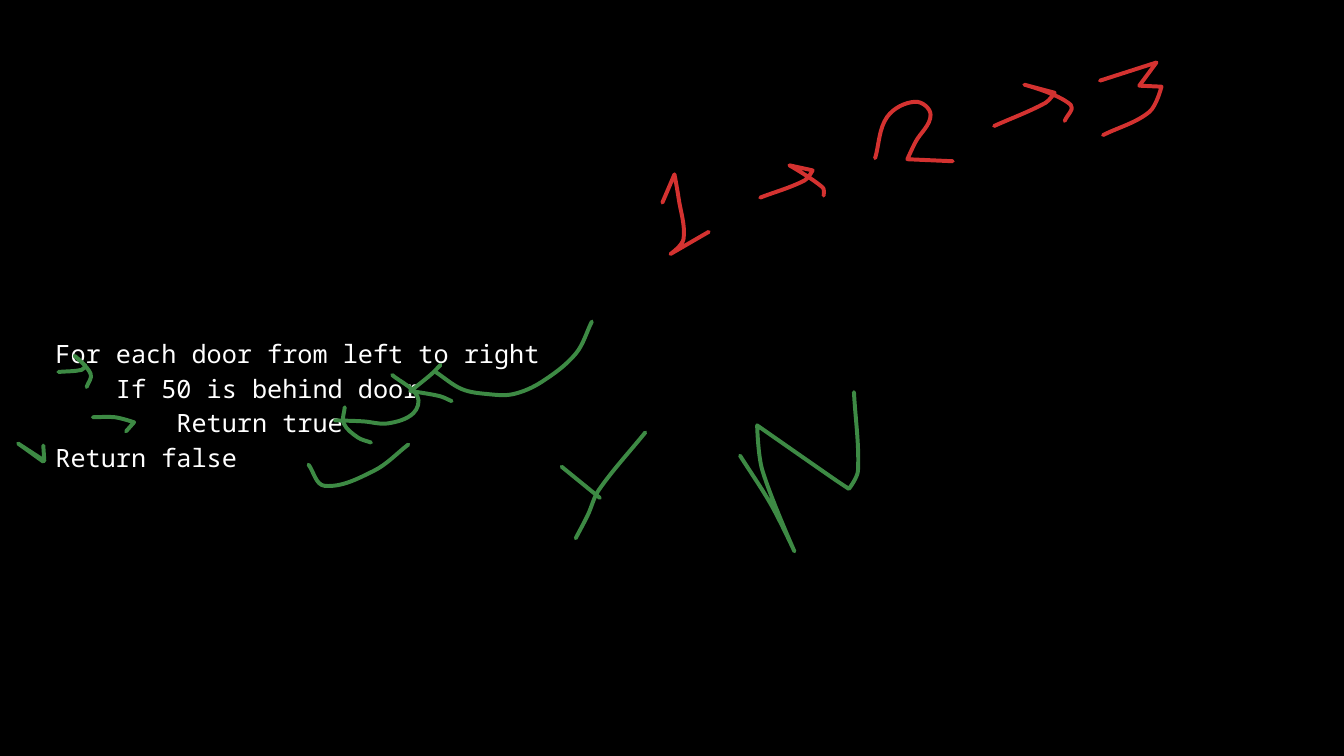
import math
from dataclasses import dataclass

import pptx
import pptx.dml.color
import pptx.enum.text
import pptx.oxml.ns
import pptx.slide
import pptx.util
from pptx.util import Inches

BLACK = pptx.dml.color.RGBColor(0x00, 0x00, 0x00)
WHITE = pptx.dml.color.RGBColor(0xFF, 0xFF, 0xFF)
GREEN = pptx.dml.color.RGBColor(0x3D, 0x8A, 0x44)
RED = pptx.dml.color.RGBColor(0xD4, 0x32, 0x30)

Point = tuple[float, float]


@dataclass(frozen=True)
class Stroke:
    """A pen stroke, drawn smoothly through its points (in inches)."""
    color: pptx.dml.color.RGBColor
    points: tuple[Point, ...]


PSEUDOCODE = (
    "For each door from left to right",
    "    If 50 is behind door",
    "        Return true",
    "Return false",
)

STROKES = (
    # Letter Y: stem and arm
    Stroke(GREEN, ((6.4, 4.29), (5.94, 4.86), (5.83, 5.11), (5.71, 5.34))),
    Stroke(GREEN, ((5.57, 4.63), (5.95, 4.94))),
    # Check mark after the last line
    Stroke(GREEN, ((3.06, 4.61), (3.22, 4.82), (3.71, 4.67), (4.05, 4.41))),
    # Letter N
    Stroke(GREEN, ((7.34, 4.52), (7.65, 5.01), (7.88, 5.47), (7.56, 4.66),
                   (7.51, 4.22), (8.27, 4.75), (8.42, 4.85), (8.51, 4.67),
                   (8.47, 3.89))),
    # Indent arrows before "If" and "Return true"
    Stroke(GREEN, ((0.58, 3.69), (0.81, 3.67), (0.85, 3.63), (0.74, 3.53),
                   (0.9, 3.71), (0.86, 3.84))),
    Stroke(GREEN, ((0.92, 4.14), (1.14, 4.14), (1.33, 4.19), (1.25, 4.28))),
    # Arrow to "If": shaft and head
    Stroke(GREEN, ((5.87, 3.19), (5.71, 3.51), (5.37, 3.79), (5.09, 3.91),
                   (4.84, 3.91), (4.58, 3.86), (4.32, 3.69))),
    Stroke(GREEN, ((4.37, 3.62), (4.27, 3.72), (4.07, 3.88), (4.36, 3.93),
                   (4.48, 3.98))),
    # Arrow to "Return true": shaft and head
    Stroke(GREEN, ((3.89, 3.72), (4.14, 3.93), (4.1, 4.1), (3.85, 4.2),
                   (3.6, 4.18), (3.32, 4.17))),
    Stroke(GREEN, ((3.42, 4.04), (3.41, 4.2), (3.55, 4.34), (3.68, 4.39))),
    # Arrow to "Return false"
    Stroke(GREEN, ((0.43, 4.58), (0.18, 4.4), (0.44, 4.57), (0.43, 4.42))),
    # Digit 1 and its arrow
    Stroke(RED, ((6.57, 2.01), (6.69, 1.73), (6.73, 1.96), (6.78, 2.37),
                 (6.65, 2.52), (7.03, 2.3))),
    Stroke(RED, ((7.54, 1.96), (7.98, 1.79), (8.06, 1.69), (7.83, 1.64),
                 (8.16, 1.86), (8.17, 1.94))),
    # Digit 2 and its arrow
    Stroke(RED, ((8.68, 1.57), (8.8, 1.16), (9.08, 1.01), (9.23, 1.14),
                 (9.08, 1.41), (9, 1.58), (9.45, 1.6))),
    Stroke(RED, ((9.86, 1.25), (10.37, 1.02), (10.46, 0.92), (10.16, 0.84),
                 (10.62, 1.04), (10.56, 1.2))),
    # Digit 3
    Stroke(RED, ((10.91, 0.8), (11.47, 0.62), (11.3, 0.85), (11.52, 0.86),
                 (11.4, 1.11), (10.94, 1.34))),
)


def direction(before: Point, here: Point, after: Point) -> Point:
    """Unit tangent of a stroke at a point, or zero at a sharp turn."""
    turn = ((here[0] - before[0]) * (after[0] - here[0])
            + (here[1] - before[1]) * (after[1] - here[1]))
    dx, dy = after[0] - before[0], after[1] - before[1]
    length = math.hypot(dx, dy)
    return (0.0, 0.0) if turn < 0 or length == 0 else (dx / length, dy / length)


def bezier_points(points: tuple[Point, ...]) -> list[Point]:
    """Two control points and an end point for each step of a stroke."""
    padded = (points[0], *points, points[-1])
    tangents = [direction(*padded[i:i + 3]) for i in range(len(points))]
    result: list[Point] = []
    for i, (start, end) in enumerate(zip(points, points[1:])):
        reach = math.dist(start, end) / 3
        (ux, uy), (vx, vy) = tangents[i], tangents[i + 1]
        result += [(start[0] + ux * reach, start[1] + uy * reach),
                   (end[0] - vx * reach, end[1] - vy * reach), end]
    return result


def write_pseudocode(slide: pptx.slide.Slide) -> None:
    code = slide.placeholders[1]
    code.left, code.top = Inches(0.45), Inches(1.68)
    code.width, code.height = Inches(12.42), Inches(4.98)
    frame = code.text_frame
    frame.word_wrap = True
    frame.auto_size = pptx.enum.text.MSO_AUTO_SIZE.NONE
    frame.vertical_anchor = pptx.enum.text.MSO_ANCHOR.MIDDLE
    frame.margin_left = frame.margin_right = frame.margin_top = Inches(0.1)
    frame.margin_bottom = Inches(0.44)  # lifts the code by half a line
    for index, line in enumerate(PSEUDOCODE):
        paragraph = frame.paragraphs[0] if index == 0 else frame.add_paragraph()
        paragraph.line_spacing = 1.15
        paragraph.space_before = pptx.util.Pt(0)
        run = paragraph.add_run()
        run.text = line
        run.font.name = "Noto Sans Mono"
        run.font.size = pptx.util.Pt(18)
        run.font.color.rgb = WHITE


def draw_stroke(slide: pptx.slide.Slide, stroke: Stroke) -> None:
    start, *rest = [(Inches(x), Inches(y)) for x, y in
                    (stroke.points[0], *bezier_points(stroke.points))]
    builder = slide.shapes.build_freeform(*start)
    builder.add_line_segments(rest, close=False)
    ink = builder.convert_to_shape()
    ink.shadow.inherit = False
    ink.fill.background()
    ink.line.color.rgb = stroke.color
    ink.line.width = pptx.util.Pt(2.83)

    # Round pen tip
    outline = ink.element.spPr.find(pptx.oxml.ns.qn("a:ln"))
    outline.set("cap", "rnd")
    outline.append(outline.makeelement(pptx.oxml.ns.qn("a:round"), {}))

    # Turn every three line segments into one Bezier curve
    segments = list(ink.element.iter(pptx.oxml.ns.qn("a:lnTo")))
    for first in range(0, len(segments), 3):
        curve = outline.makeelement(pptx.oxml.ns.qn("a:cubicBezTo"), {})
        segments[first].addprevious(curve)
        for segment in segments[first:first + 3]:
            curve.append(segment[0])
            segment.getparent().remove(segment)


def main() -> None:
    deck = pptx.Presentation()
    deck.slide_width, deck.slide_height = Inches(13.33), Inches(7.5)
    slide = deck.slides.add_slide(deck.slide_layouts.get_by_name("Section Header"))
    slide.background.fill.solid()
    slide.background.fill.fore_color.rgb = BLACK
    unused_title = slide.shapes.title.element
    unused_title.getparent().remove(unused_title)

    write_pseudocode(slide)
    for stroke in STROKES:
        draw_stroke(slide, stroke)
    deck.save("out.pptx")


if __name__ == "__main__":
    main()
